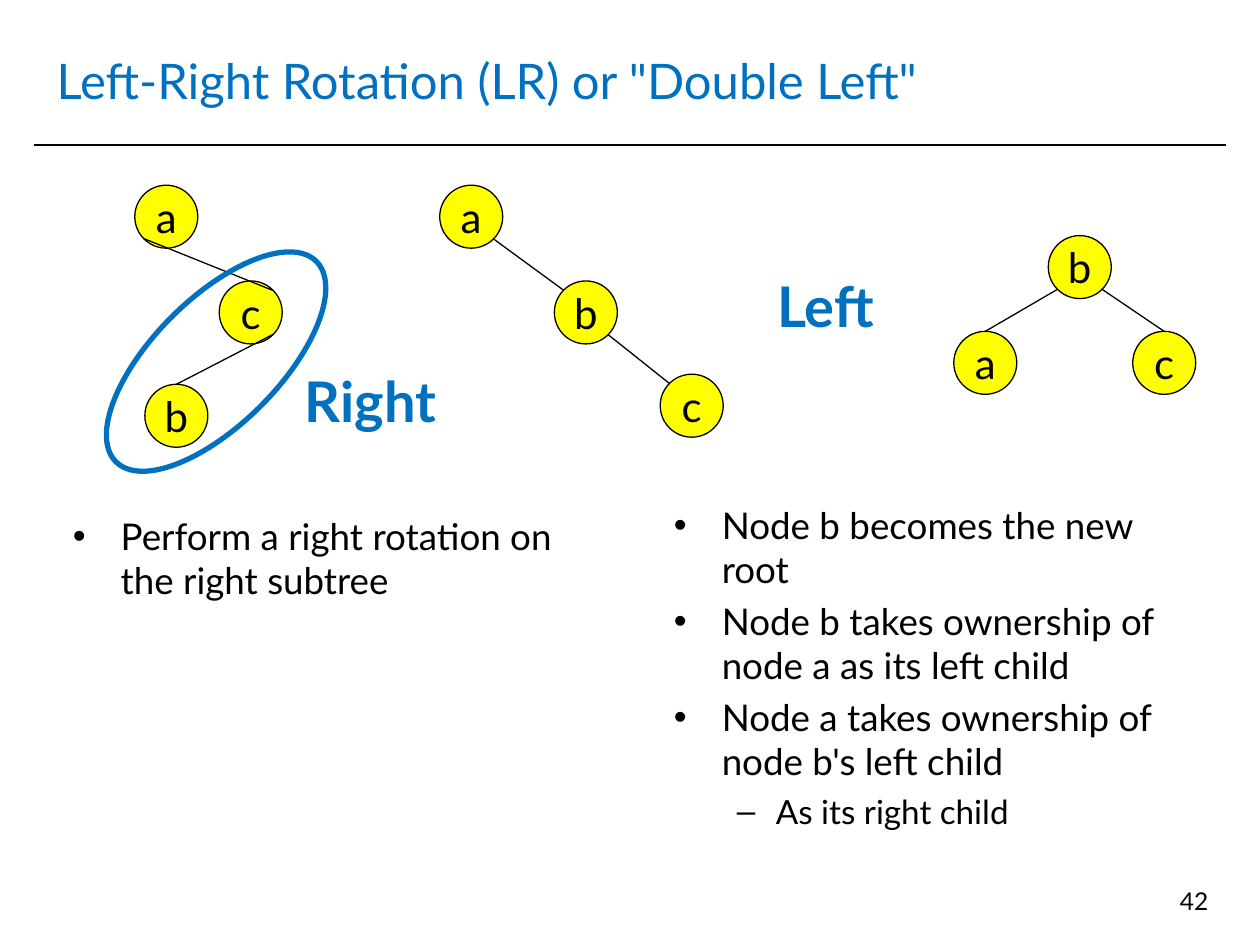
import pptx
import pptx.util
import pptx.dml.color
import pptx.enum.shapes
import pptx.enum.text
import pptx.oxml
import pptx.oxml.ns

Pt = pptx.util.Pt
Rgb = pptx.dml.color.RGBColor.from_string
Kind = pptx.enum.shapes.MSO_SHAPE
Wire = pptx.enum.shapes.MSO_CONNECTOR
Align = pptx.enum.text.PP_ALIGN
Mid = pptx.enum.text.MSO_ANCHOR.MIDDLE
Top = pptx.enum.text.MSO_ANCHOR.TOP
ink = {"text": "000000", "blue": "0070C0", "node": "FFFF00"}

deck = pptx.Presentation()
deck.slide_width = pptx.util.Inches(10)
deck.slide_height = pptx.util.Inches(7.5)
col = deck.slide_width / 100
row = deck.slide_height / 75
slide = deck.slides.add_slide(deck.slide_layouts[5])
shapes = slide.shapes


def write(shape, lines, size, tone="text", bold=False, align=Align.LEFT, anchor=Top, wrap=True):
    frame = shape.text_frame
    for name, value in {"word_wrap": wrap, "vertical_anchor": anchor,
                        "auto_size": pptx.enum.text.MSO_AUTO_SIZE.NONE}.items():
        setattr(frame, name, value)
    frame.text = "\n".join(lines)
    for para in frame.paragraphs:
        para.alignment = align
        for run in para.runs:
            for name, value in {"name": "Lato", "size": Pt(size), "bold": bold}.items():
                setattr(run.font, name, value)
            run.font.color.rgb = Rgb(ink[tone])


def link(x1, y1, x2, y2, width=0.75):
    ends = [round(v) for v in (x1 * col, y1 * row, x2 * col, y2 * row)]
    line = shapes.add_connector(Wire.STRAIGHT, *ends)
    line.line.width = Pt(width)
    line.line.color.rgb = Rgb(ink["text"])
    line._element.spPr.append(pptx.oxml.parse_xml(
        f'<a:effectLst {pptx.oxml.ns.nsdecls("a")}/>'))


link(2.7, 11.5, 97.3, 11.5, 1)

title = shapes.title
place = {"left": 3.5 * col, "top": 2.1 * row, "width": 92.9 * col, "height": 8.5 * row}
for name, value in place.items():
    setattr(title, name, round(value))
write(title, ['Left-Right Rotation (LR) or "Double Left"'], 28, "blue", anchor=Mid)

size = 5
near, far = 0.15 * size, 0.85 * size
sites = {"top": (size / 2, 0), "tr": (far, near), "tl": (near, near),
         "bl": (near, far), "br": (far, far)}
trees = [
    ({"a": (10.7, 14.7), "b": (11.5, 30.5), "c": (17.4, 22.3)},
     [("a", "bl", "c", "tr"), ("c", "br", "b", "top")]),
    ({"a": (34.9, 14.7), "b": (44, 22.3), "c": (52.4, 29.7)},
     [("a", "br", "b", "tl"), ("b", "br", "c", "tl")]),
    ({"b": (83.2, 18.7), "a": (75.7, 26.3), "c": (89.9, 26.3)},
     [("b", "bl", "a", "top"), ("b", "br", "c", "top")]),
]
for nodes, edges in trees:
    for label, (x, y) in nodes.items():
        node = shapes.add_shape(Kind.OVAL, round(x * col), round(y * row),
                                round(size * col), round(size * row))
        node.shadow.inherit = False
        node.fill.solid()
        node.fill.fore_color.rgb = Rgb(ink["node"])
        node.line.color.rgb = Rgb(ink["text"])
        node.line.width = Pt(0.75)
        write(node, [label], 24, align=Align.CENTER, anchor=Mid, wrap=False)
    for start, out, end, into in edges:
        link(nodes[start][0] + sites[out][0], nodes[start][1] + sites[out][1],
             nodes[end][0] + sites[into][0], nodes[end][1] + sites[into][1])

ring = shapes.add_shape(Kind.OVAL, round(5.9 * col), round(23.7 * row),
                        round(22.5 * col), round(10 * row))
ring.rotation = 315
ring.shadow.inherit = False
ring.fill.background()
ring.line.color.rgb = Rgb(ink["blue"])
ring.line.width = Pt(3)

head = {"size": 32, "tone": "blue", "bold": True, "anchor": Mid}
list_look = {"size": 21}
boxes = [
    (23.2, 28, 21.7, 7.5, ["Right"], head),
    (60.7, 20.5, 21.7, 7.5, ["Left"], head),
    (73.6, 69.8, 23.3, 5.2, ["42"], {"size": 14, "align": Align.RIGHT}),
    (4.8, 40.3, 44.2, 10.8, ["Perform a right rotation on the right subtree"], list_look),
    (52.5, 39.4, 44.2, 28.7, ["Node b becomes the new root",
                              "Node b takes ownership of node a as its left child",
                              "Node a takes ownership of node b's left child",
                              "As its right child"], list_look),
]
for x, y, w, h, lines, look in boxes:
    box = shapes.add_textbox(round(x * col), round(y * row), round(w * col), round(h * row))
    write(box, lines, **look)
    if look is not list_look:
        continue
    for i, para in enumerate(box.text_frame.paragraphs):
        sub = i == 3
        mark, left, hang = ("–", 8.1, 3.1) if sub else ("•", 3.8, 3.8)
        para.level = int(sub)
        para.space_before = Pt(4.5 if i else 0)
        props = para._p.get_or_add_pPr()
        props.set("marL", str(round(left * col)))
        props.set("indent", str(round(-hang * col)))
        for xml in (f'<a:buClr {{}}><a:srgbClr val="{ink["text"]}"/></a:buClr>',
                    '<a:buFont {} typeface="Arial"/>',
                    f'<a:buChar {{}} char="{mark}"/>'):
            props.append(pptx.oxml.parse_xml(xml.format(pptx.oxml.ns.nsdecls("a"))))
        if sub:
            para.runs[0].font.size = Pt(19)

deck.save("out.pptx")
